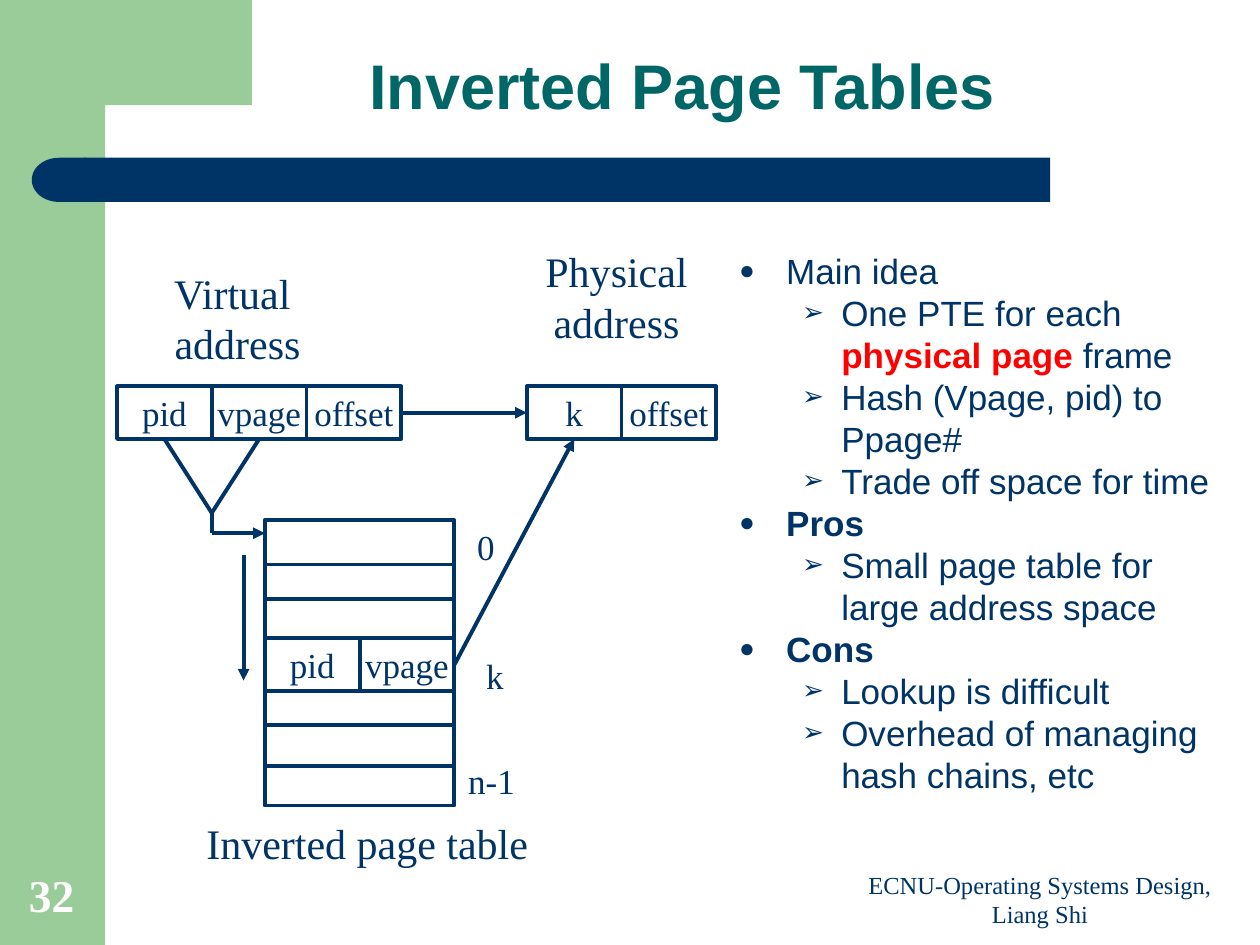
"""Build the slide on inverted page tables."""
from lxml import etree
from pptx import Presentation
from pptx.dml.color import RGBColor
from pptx.enum.shapes import MSO_CONNECTOR, MSO_SHAPE
from pptx.enum.text import MSO_ANCHOR, PP_ALIGN
from pptx.oxml.ns import qn
from pptx.util import Cm, Pt

RECT = MSO_SHAPE.RECTANGLE
DELAY = MSO_SHAPE.FLOWCHART_DELAY
STRAIGHT = MSO_CONNECTOR.STRAIGHT
LEFT, CENTER = PP_ALIGN.LEFT, PP_ALIGN.CENTER
TOP, MIDDLE, BOTTOM = MSO_ANCHOR.TOP, MSO_ANCHOR.MIDDLE, MSO_ANCHOR.BOTTOM

COLORS = {"navy": "003366", "teal": "006666", "green": "99CC99",
          "red": "FF0000", "white": "FFFFFF"}
SANS, SERIF = "Arial", "Times New Roman"
CELL_W, CELL_H = 1.91, 1.06
ROW_Y = 7.79
TABLE_X, TABLE_Y, TABLE_H = 5.34, 10.48, 5.76
TABLE_W = 2 * CELL_W
ENTRY_Y = 12.87
FORK_X, FORK_Y, PROBE_Y = 4.27, 10.34, 10.75
BULLETS = [("●", 0.95, -0.95), ("➢", 2.06, -0.79)]
POINTS = [
    (0, [("Main idea", {})]),
    (1, [("One PTE for each ", {}),
         ("physical page ", {"color": "red", "bold": True}),
         ("frame", {})]),
    (1, [("Hash (Vpage, pid) to Ppage#", {})]),
    (1, [("Trade off space for time", {})]),
    (0, [("Pros", {"bold": True})]),
    (1, [("Small page table for large address space", {})]),
    (0, [("Cons", {"bold": True})]),
    (1, [("Lookup is difficult", {})]),
    (1, [("Overhead of managing hash chains, etc", {})]),
]


def shade(name):
    return RGBColor.from_string(COLORS[name])


def write(par, text, size=20, face=SERIF, color="navy", bold=False):
    run = par.add_run()
    run.text = text
    run.font.size = Pt(size)
    run.font.name = face
    run.font.bold = bold
    run.font.color.rgb = shade(color)


class Deck:
    """Hold the line style and the current slide."""

    def __init__(self, slide, width=2.25, color="navy"):
        self.slide = slide
        self.shapes = slide.shapes
        self.width = Pt(width)
        self.color = color

    def paint(self, shape, color):
        shape.shadow.inherit = False
        shape.fill.solid()
        shape.fill.fore_color.rgb = shade(color)
        shape.line.fill.background()

    def block(self, kind, x, y, w, h, color):
        shape = self.shapes.add_shape(kind, Cm(x), Cm(y), Cm(w), Cm(h))
        self.paint(shape, color)
        return shape

    def corner(self, points, color):
        spots = [(Cm(x), Cm(y)) for x, y in points]
        maker = self.shapes.build_freeform(*spots[0])
        maker.add_line_segments(spots[1:], close=True)
        self.paint(maker.convert_to_shape(), color)

    def title(self, text, x, y, w, h):
        shape = self.shapes.title
        shape.left, shape.top, shape.width, shape.height = map(Cm, (x, y, w, h))
        shape.text_frame.vertical_anchor = MIDDLE
        par = shape.text_frame.paragraphs[0]
        par.alignment = CENTER
        par.line_spacing = 0.9
        write(par, text, size=36, face=SANS, color="teal", bold=True)

    def box(self, x, y, w, h, text=""):
        shape = self.shapes.add_shape(RECT, Cm(x), Cm(y), Cm(w), Cm(h))
        shape.shadow.inherit = False
        shape.fill.background()
        shape.line.color.rgb = shade(self.color)
        shape.line.width = self.width
        if text:
            frame = shape.text_frame
            frame.word_wrap = False
            frame.vertical_anchor = MIDDLE
            frame.paragraphs[0].alignment = CENTER
            write(frame.paragraphs[0], text)
        return shape

    def row(self, x, y, names):
        return [self.box(x + i * CELL_W, y, CELL_W, CELL_H, name)
                for i, name in enumerate(names)]

    def label(self, lines, x, y, w, h, align=LEFT, anchor=TOP, wrap=False, **style):
        shape = self.shapes.add_textbox(Cm(x), Cm(y), Cm(w), Cm(h))
        frame = shape.text_frame
        frame.word_wrap = wrap
        frame.vertical_anchor = anchor
        for i, text in enumerate(lines):
            par = frame.add_paragraph() if i else frame.paragraphs[0]
            par.alignment = align
            write(par, text, **style)

    def line(self, x1, y1, x2, y2, arrow=False):
        link = self.shapes.add_connector(STRAIGHT, Cm(x1), Cm(y1), Cm(x2), Cm(y2))
        link.line.color.rgb = shade(self.color)
        link.line.width = self.width
        if arrow:
            stroke = link._element.spPr.find(qn("a:ln"))
            etree.SubElement(stroke, qn("a:tailEnd"), type="triangle")
        etree.SubElement(link._element.spPr, qn("a:effectLst"))
        return link

    def bullets(self, points, x, y, w, h):
        shape = self.shapes.add_textbox(Cm(x), Cm(y), Cm(w), Cm(h))
        frame = shape.text_frame
        frame.word_wrap = True
        for i, (level, runs) in enumerate(points):
            par = frame.add_paragraph() if i else frame.paragraphs[0]
            par.level = level
            par.line_spacing = 1.0
            mark, left, hang = BULLETS[level]
            props = par._p.get_or_add_pPr()
            props.set("marL", str(Cm(left)))
            props.set("indent", str(Cm(hang)))
            tint = etree.SubElement(props, qn("a:buClr"))
            etree.SubElement(tint, qn("a:srgbClr"), val=COLORS[self.color])
            etree.SubElement(props, qn("a:buSzPct"), val="75000")
            etree.SubElement(props, qn("a:buFont"), typeface=SANS)
            etree.SubElement(props, qn("a:buChar"), char=mark)
            for text, style in runs:
                write(par, text, face=SANS, **style)


def main():
    prs = Presentation()
    prs.slide_width, prs.slide_height = Cm(25.4), Cm(19.05)
    deck = Deck(prs.slides.add_slide(prs.slide_layouts[5]))

    deck.block(RECT, 0, 0, 2.12, 19.05, "green")
    deck.corner([(1.27, 0), (5.08, 0), (5.08, 2.12), (2.12, 2.12), (1.8, 2.34),
                 (1.7, 2.95), (1.7, 3.25), (1.27, 3.25)], "green")
    deck.block(RECT, 1.7, 3.18, 19.47, 0.89, "navy")
    deck.block(DELAY, 0.64, 3.18, 1.09, 0.89, "navy").rotation = 180
    deck.title("Inverted Page Tables", 2.75, 0.85, 22.01, 1.91)
    deck.bullets(POINTS, 14.65, 4.9, 10.12, 11.81)

    pid, vpage, offset = deck.row(2.36, ROW_Y, ["pid", "vpage", "offset"])
    frame = deck.row(10.62, ROW_Y, ["k", "offset"])[0]
    deck.box(TABLE_X, TABLE_Y, TABLE_W, TABLE_H)
    entry = deck.row(TABLE_X, ENTRY_Y, ["pid", "vpage"])[1]
    for y in (11.38, 12.07, 14.61, 15.44):
        deck.line(TABLE_X, y, TABLE_X + TABLE_W, y)

    for cell in (pid, vpage):
        deck.line(FORK_X, ROW_Y, FORK_X, FORK_Y).begin_connect(cell, 2)
    deck.line(FORK_X, FORK_Y, FORK_X, PROBE_Y)
    deck.line(FORK_X, PROBE_Y, TABLE_X, PROBE_Y, arrow=True)
    deck.line(4.91, 11.18, 4.91, 13.72, arrow=True)
    for start, side in ((entry, 2), (offset, 1)):
        link = deck.line(0, 0, 1, 1, arrow=True)
        link.begin_connect(start, 3)
        link.end_connect(frame, side)

    for text, x, y, w in (("0", 9.37, 10.46, 0.86), ("k", 9.55, 13.06, 0.86),
                          ("n-1", 9.19, 15.19, 1.6)):
        deck.label([text], x, y, w, 1.11)
    deck.label(["Virtual ", "address"], 3.23, 5.26, 3.12, 2.29, align=CENTER, size=24)
    deck.label(["Physical ", "address"], 10.64, 4.83, 3.58, 2.29, align=CENTER, size=24)
    deck.label(["Inverted page table"], 3.91, 16.36, 6.99, 1.27, size=24)
    deck.label(["ECNU-Operating Systems Design, Liang Shi"], 16.94, 17.53, 8.05, 1.32,
               align=CENTER, anchor=BOTTOM, wrap=True, size=14)
    deck.label(["32"], 0, 17.35, 2.08, 1.35, align=CENTER, anchor=BOTTOM,
               wrap=True, size=26, color="white", bold=True)
    prs.save("out.pptx")


if __name__ == "__main__":
    main()
